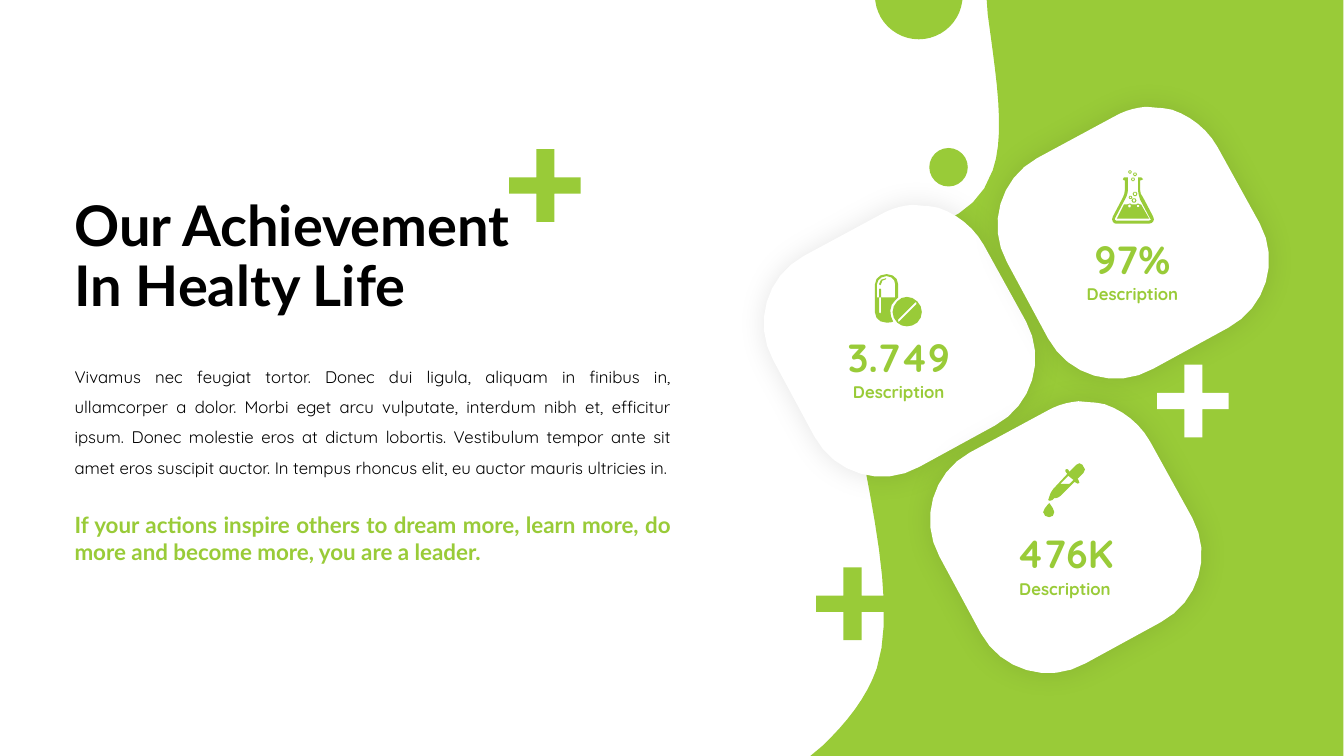
from math import cos, dist, sin, sqrt, tau

from lxml import etree
from pptx import Presentation, util as u
from pptx.dml.color import RGBColor
from pptx.enum import shapes, text
from pptx.oxml.ns import qn

GREEN = RGBColor(0x99, 0xCB, 0x38)
WHITE = RGBColor(0xFF, 0xFF, 0xFF)
BLACK = RGBColor(0, 0, 0)

# Outlines in hundredths of an inch: "x,y" is a line, six values are a curve,
# and "/" starts the next contour.
WAVE = """979,0 1333,0 1333,750 804,750 816,740 840,717,860,692,870,663
    900,569,824,381,843,298 863,216,960,244,985,169 998,132,988,74,980,14"""
TILE = """148,0 159,1 164,1,169,2,174,3 192,9,209,22,219,40
    261,116 281,153,267,199,230,219 155,260 118,281,71,267,51,230 10,154
    -10,118,3,71,40,51 116,10 126,4,137,1,148,0"""
PLUS = """27,0 45,0 45,28 71,28 71,44 45,44 45,72 27,72 27,44 0,44
    0,28 27,28"""
FLASK = """41,51 40,52,39,53,37,53 4,53 3,53,1,52,1,51 0,50,0,48,1,46 11,27
    12,25,13,22,13,19 13,10 12,10 11,9 12,7 16,7 16,19
    16,22,15,26,13,29 3,48 3,49 4,50 37,50 39,49 38,48 28,29
    27,26,26,22,26,19 26,7 29,7 31,9 29,10 28,10 28,19
    28,22,29,25,31,27 41,46 42,48,42,50,41,51
    / 18,33 20,34 24,34 26,33 28,34 29,34 37,48 5,48 12,34 15,34"""
PILLS = """11,4 11,5 8,5,6,7,6,10 5,11 4,10 4,6,7,4,11,4
    / 18,47 17,48,14,48,12,48 11,48 5,48,0,44,0,38 0,10 0,4,5,0,11,0 12,0
    18,0,23,4,23,10 23,23 20,26 14,31,14,40,18,47
    / 20,23 20,10 20,6,17,2,12,2 11,2 6,2,2,6,2,10 2,23 4,23 4,38
    5,39 6,38 6,23
    / 42,48 36,53,27,53,22,48 16,42,16,33,22,27 27,21,36,21,42,27
    48,33,48,42,42,48
    / 41,28 40,28 23,45 23,47 24,47 41,30
    / 4,15 4,23 6,23 6,15 5,14"""
DROPPER = """40,4 39,2 37,0,35,0,33,2 26,9 25,7 24,6,23,6,22,7 22,8,22,9,23,10
    24,11 10,26 8,29 7,31 6,34 5,37 6,38,7,38,9,37 11,35 13,35
    14,35,16,34,17,33 31,19 33,20 33,21,35,21,36,20 35,17 34,16 40,10
    42,8,42,5,40,4
    / 26,21 17,21 25,13 30,17
    / 6,40 6,40,11,46,11,49 11,52,9,54,6,54 3,54,0,52,0,49 0,46,6,40,6,40"""
# Bubbles of the flask: centre x, centre y, radius
BUBBLES = [(22, 30, 2.5), (22, 30, 1.4), (23, 23.5, 2.4), (23, 23.5, 1.4),
           (23, 4, 2), (23, 4, 1.1), (18.5, 27, 1.8), (18.5, 27, 0.9),
           (18, 1.7, 1.8), (18, 1.7, 0.9), (21, 9, 2), (21, 9, 1.1),
           (26, 35.5, 1.4), (17.5, 35.5, 1.5)]

BODY = ("Vivamus nec feugiat tortor. Donec dui ligula, aliquam in finibus in, "
        "ullamcorper a dolor. Morbi eget arcu vulputate, interdum nibh et, "
        "efficitur ipsum. Donec molestie eros at dictum lobortis. Vestibulum "
        "tempor ante sit amet eros suscipit auctor. In tempus rhoncus elit, "
        "eu auctor mauris ultricies in.")
QUOTE = ("If your actions inspire others to dream more, learn more, do more "
         "and become more, you are a leader.")


def trace(line):
    """Turn one contour into points, with more of them on longer curves."""
    pts = []
    for item in line.split():
        nums = [float(n) for n in item.split(",")]
        if len(nums) == 2:
            pts.append(tuple(nums))
            continue
        ctrl = [pts[-1], nums[:2], nums[2:4], nums[4:]]
        steps = max(2, round(0.8 * sqrt(dist(ctrl[0], ctrl[3]))))
        for i in range(1, steps + 1):
            t = i / steps
            part = ((1 - t) ** 3, 3 * t * (1 - t) ** 2,
                    3 * t * t * (1 - t), t ** 3)
            pts.append(tuple(sum(w * c[a] for w, c in zip(part, ctrl))
                             for a in (0, 1)))
    return pts


def ring(x, y, rad, steps=6):
    return [(x + rad * cos(tau * i / steps), y + rad * sin(tau * i / steps))
            for i in range(steps)]


class Deck:
    head, copy = "Lato", "Quicksand"

    def __init__(self):
        self.prs = Presentation()
        self.prs.slide_width, self.prs.slide_height = u.Cm(33.87), u.Cm(19.05)
        self.page = self.prs.slides.add_slide(self.prs.slide_layouts[6])

    def paint(self, shape, color):
        shape.shadow.inherit = False
        shape.fill.solid()
        shape.fill.fore_color.rgb = color
        shape.line.fill.background()
        return shape

    def form(self, x, y, line, color, dots=()):
        loops = [trace(part) for part in line.split("/")]
        loops += [ring(*dot) for dot in dots]
        # One drawing unit is a thousandth of a centimetre
        loops = [[(a * 25.4, b * 25.4) for a, b in loop] for loop in loops]
        pen = self.page.shapes.build_freeform(*loops[0][0], scale=u.Cm(0.001))
        for i, loop in enumerate(loops):
            if i:
                pen.move_to(*loop[0])
            pen.add_line_segments(loop[1:], close=True)
        return self.paint(pen.convert_to_shape(u.Cm(x), u.Cm(y)), color)

    def disc(self, x, y, size):
        self.paint(self.page.shapes.add_shape(
            shapes.MSO_SHAPE.OVAL, u.Cm(x), u.Cm(y), u.Cm(size), u.Cm(size)),
            GREEN)

    def glow(self, shape):
        blur = etree.SubElement(
            shape.element.spPr.find(qn("a:effectLst")), qn("a:outerShdw"),
            blurRad=str(u.Pt(20)), dist="0", algn="ctr", rotWithShape="0")
        tint = etree.SubElement(blur, qn("a:srgbClr"), val=str(BLACK))
        etree.SubElement(tint, qn("a:alpha"), val="10000")

    def words(self, box, copy, frame, para, font):
        area = self.page.shapes.add_textbox(*map(u.Cm, box)).text_frame
        area.text = copy
        line = area.paragraphs[0]
        line.font.color.rgb = font["color"]
        plain = {k: v for k, v in font.items() if k != "color"}
        for goal, look in ((area, {"word_wrap": True, **frame}),
                           (line, para), (line.font, plain)):
            for key, val in look.items():
                setattr(goal, key, val)

    def card(self, x, y, value, icon, dx, dy, dots=()):
        self.glow(self.form(x, y, TILE, WHITE))
        mid = {"vertical_anchor": text.MSO_ANCHOR.MIDDLE}
        para = {"alignment": text.PP_ALIGN.CENTER}
        font = {"name": self.copy, "bold": True, "color": GREEN}
        self.words((x + 1.82, y + 4.34, 3.2, 0.76), "Description", mid, para,
                   {**font, "size": u.Pt(12)})
        self.words((x + 1.5, y + 3.1, 3.84, 1.45), value, mid, para,
                   {**font, "size": u.Pt(28)})
        self.form(x + dx, y + dy, icon, GREEN, dots)


def main():
    deck = Deck()

    # Green wave on the right
    deck.form(0, 0, WAVE, GREEN)

    # Figure cards
    deck.card(19.23, 5.16, "3.749", PILLS, 2.82, 1.75)
    deck.card(23.42, 10.11, "476K", DROPPER, 2.87, 1.55)
    deck.card(25.12, 2.69, "97%", FLASK, 2.9, 1.6, BUBBLES)

    # Plus signs and discs
    for x, y, color in ((29.16, 9.19, WHITE), (20.57, 14.3, GREEN),
                        (12.83, 3.76, GREEN)):
        deck.form(x, y, PLUS, color)
    deck.disc(23.42, 3.73, 0.97)
    deck.disc(22.05, -1.22, 2.21)

    # Title, body and quote
    just = {"alignment": text.PP_ALIGN.JUSTIFY}
    deck.words((1.63, 4.67, 12.9, 3.68), "Our Achievement\vIn Healty Life",
               {"vertical_anchor": text.MSO_ANCHOR.MIDDLE},
               {"line_spacing": 0.9},
               {"name": deck.head, "size": u.Pt(40), "bold": True,
                "color": BLACK})
    deck.words((1.63, 8.86, 15.54, 3.33), BODY, {},
               {**just, "line_spacing": 1.5},
               {"name": deck.copy, "size": u.Pt(12), "color": BLACK})
    deck.words((1.63, 12.75, 15.54, 1.63), QUOTE, {}, just,
               {"name": deck.head, "size": u.Pt(16), "bold": True,
                "color": GREEN})

    deck.prs.save("out.pptx")


if __name__ == "__main__":
    main()
